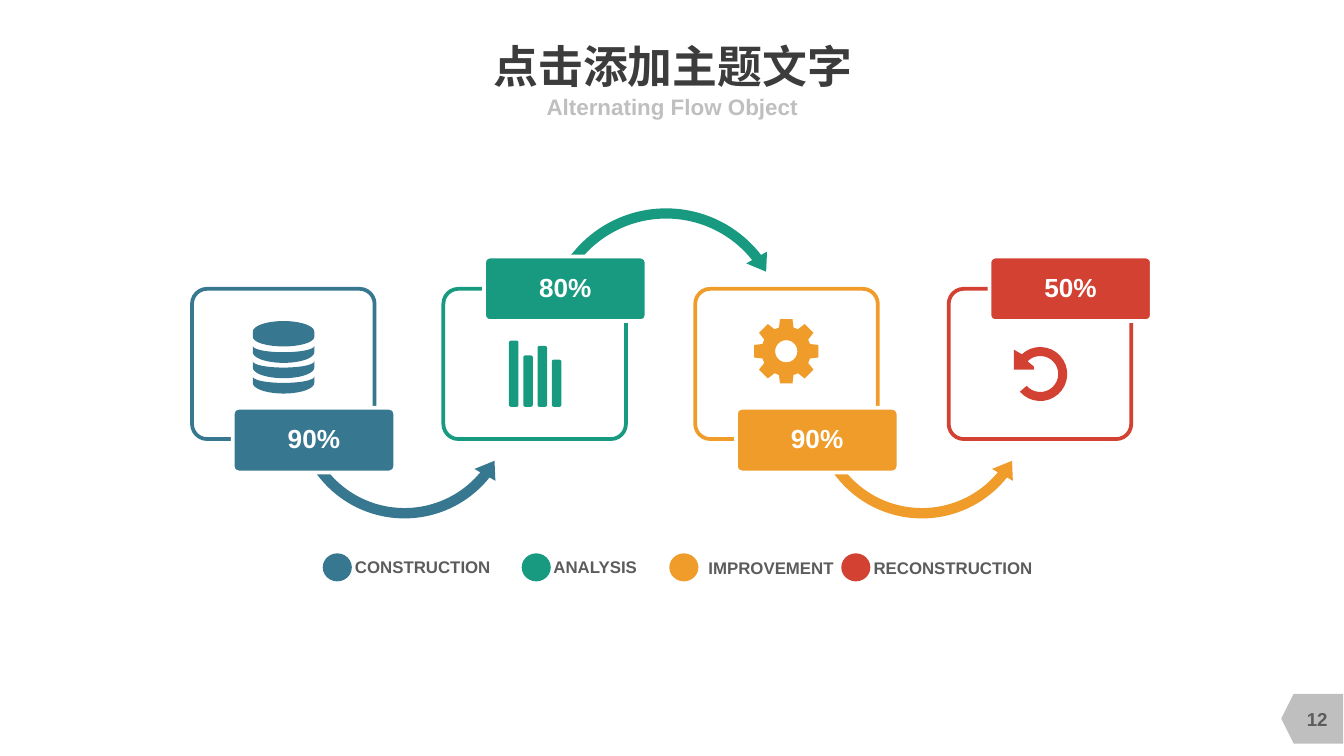
from math import cos, radians, sin

from pptx import Presentation
from pptx.dml.color import RGBColor
from pptx.enum.shapes import MSO_SHAPE as Preset
from pptx.enum.text import MSO_ANCHOR as Anchor, PP_ALIGN as Align
from pptx.util import Cm, Pt

BLUE, GREEN, ORANGE, RED = "377790", "189A80", "F09C2A", "D24132"
WHITE, DARK, GREY, SILVER = "FFFFFF", "3C3C3C", "5C5C5C", "BFBFBF"
BOWL = (Preset.LEFT_CIRCULAR_ARROW, 5.56, 4.37, (0.045, 5.658, 23.414, 90.245, 0.052))
ARCH = (Preset.CIRCULAR_ARROW, 3.81, 4.8, (0.04, 5.09, 193.155, 125.755, 0.047))
HIGH, LOW = 4.85, 7.71

STEPS = [
    (3.63, LOW, "90%", BLUE, BOWL, 5.46),
    (8.38, HIGH, "80%", GREEN, ARCH, 10.19),
    (13.14, LOW, "90%", ORANGE, BOWL, 15.24),
    (17.93, HIGH, "50%", RED, None, None),
]
LEGEND = [
    ("CONSTRUCTION", BLUE, 6.1, 6.71, 10.52, 2.59),
    ("ANALYSIS", GREEN, 9.86, 10.46, 10.52, 1.63),
    ("IMPROVEMENT", ORANGE, 12.65, 13.39, 10.54, 2.39),
    ("RECONSTRUCTION", RED, 15.9, 16.51, 10.54, 3.02),
]


def rgb(code):
    return RGBColor.from_string(code)


def apply(target, values):
    for name, value in values.items():
        setattr(target, name, value)


def arc(x, y, rx, ry, start, end, count=24):
    angles = [radians(start + (end - start) * i / count) for i in range(count + 1)]
    return [(x + rx * cos(a), y + ry * sin(a)) for a in angles]


class Canvas:
    font = {"name": "Arial", "bold": True}
    frame = {"margin_left": 0, "margin_right": 0, "margin_top": 0, "margin_bottom": 0}

    def __init__(self, slide):
        self.slide = slide

    def paint(self, shape, fill=None, line=None):
        shape.shadow.inherit = False
        if fill:
            shape.fill.solid()
            shape.fill.fore_color.rgb = rgb(fill)
        else:
            shape.fill.background()
        if line:
            shape.line.color.rgb = rgb(line)
            shape.line.width = Pt(2)
        else:
            shape.line.fill.background()
        return shape

    def preset(self, kind, box, fill=None, line=None, adjust=()):
        shape = self.slide.shapes.add_shape(kind, *map(Cm, box))
        for i, value in enumerate(adjust):
            shape.adjustments[i] = value
        return self.paint(shape, fill, line)

    def outline(self, contours, fill):
        loops = [[(Cm(x), Cm(y)) for x, y in contour] for contour in contours]
        builder = self.slide.shapes.build_freeform(*loops[0][0])
        for i, loop in enumerate(loops):
            if i:
                builder.move_to(*loop[0])
            builder.add_line_segments(loop[1:], close=True)
        return self.paint(builder.convert_to_shape(), fill)

    def caption(self, shape, words, size, color, align=Align.CENTER, spacing=1.0,
                anchor=Anchor.MIDDLE, wrap=True):
        apply(shape.text_frame, {**self.frame, "vertical_anchor": anchor, "word_wrap": wrap})
        paragraph = shape.text_frame.paragraphs[0]
        apply(paragraph, {"text": words, "alignment": align, "line_spacing": spacing})
        apply(paragraph.font, {**self.font, "size": Pt(size)})
        paragraph.font.color.rgb = rgb(color)

    def text(self, box, words, size, color, **options):
        self.caption(self.slide.shapes.add_textbox(*map(Cm, box)), words, size, color, **options)

    def step(self, left, badge_top, percent, color, arrow, arrow_left):
        if arrow:
            kind, top, size, adjust = arrow
            self.preset(kind, (arrow_left, top, size, size), color, adjust=adjust)
        self.preset(Preset.ROUNDED_RECTANGLE, (left, 5.46, 3.45, 2.84), line=color, adjust=(0.1,))
        badge = self.preset(Preset.ROUNDED_RECTANGLE, (left + 0.77, badge_top, 3.07, 1.22),
                            color, WHITE, (0.09,))
        self.caption(badge, percent, 14, WHITE, spacing=0.9)

    def legend(self, label, color, dot_left, left, top, width):
        self.preset(Preset.OVAL, (dot_left, 10.46, 0.55, 0.53), color)
        self.text((left, top, width, 0.38), label, 9, GREY,
                  align=Align.LEFT, anchor=Anchor.TOP, wrap=False)

    def database(self, x, y, color):
        lid = arc(x, y, 0.58, 0.2, 180, 360) + arc(x, y + 0.1, 0.58, 0.18, 0, 180)
        bands = [arc(x, top, 0.58, 0.12, 180, 0) + arc(x, top + 0.12, 0.58, 0.2, 0, 180)
                 for top in (y + 0.27 + 0.29 * i for i in range(3))]
        self.outline([lid, *bands], color)

    def bars(self, left, bottom, heights, color):
        for i, height in enumerate(heights):
            self.preset(Preset.ROUNDED_RECTANGLE,
                        (left + 0.27 * i, bottom - height, 0.18, height), color, adjust=(0.2,))

    def gear(self, x, y, color):
        rim = []
        for tooth in range(0, 360, 45):
            for radius, turn in ((0.47, -17), (0.62, -11), (0.62, 11), (0.47, 17)):
                rim += arc(x, y, radius, radius, tooth + turn, tooth + turn, 1)[:1]
        self.outline([rim, arc(x, y, 0.21, 0.21, 360, 0)], color)

    def undo(self, x, y, color):
        head = [(x - 0.5, y - 0.46), (x - 0.5, y - 0.08), (x - 0.12, y - 0.08), (x - 0.12, y - 0.14)]
        ring = arc(x, y, 0.51, 0.51, 139, -133) + head + arc(x, y, 0.34, 0.34, -135, 139)
        self.outline([ring], color)


def main():
    deck = Presentation()
    apply(deck, {"slide_width": Cm(25.4), "slide_height": Cm(14.29)})
    canvas = Canvas(deck.slides.add_slide(deck.slide_layouts[6]))

    page_tag = canvas.preset(Preset.FLOWCHART_OFFPAGE_CONNECTOR, (24.33, 13, 0.94, 1.17), SILVER)
    page_tag.rotation = 90
    canvas.text((24.26, 13.21, 1.27, 0.76), "12", 10, GREY)
    canvas.text((4.88, 0.74, 15.67, 0.99), "点击添加主题文字", 24, DARK, wrap=False)
    canvas.text((6.99, 1.73, 11.43, 0.56), "Alternating Flow Object", 12, SILVER)

    for entry in LEGEND:
        canvas.legend(*entry)
    for step in STEPS:
        canvas.step(*step)

    canvas.database(5.36, 6.27, BLUE)
    canvas.bars(9.62, 7.69, (1.25, 0.97, 1.15, 0.89), GREEN)
    canvas.gear(14.86, 6.64, ORANGE)
    canvas.undo(19.66, 7.07, RED)
    deck.save("out.pptx")


if __name__ == "__main__":
    main()
